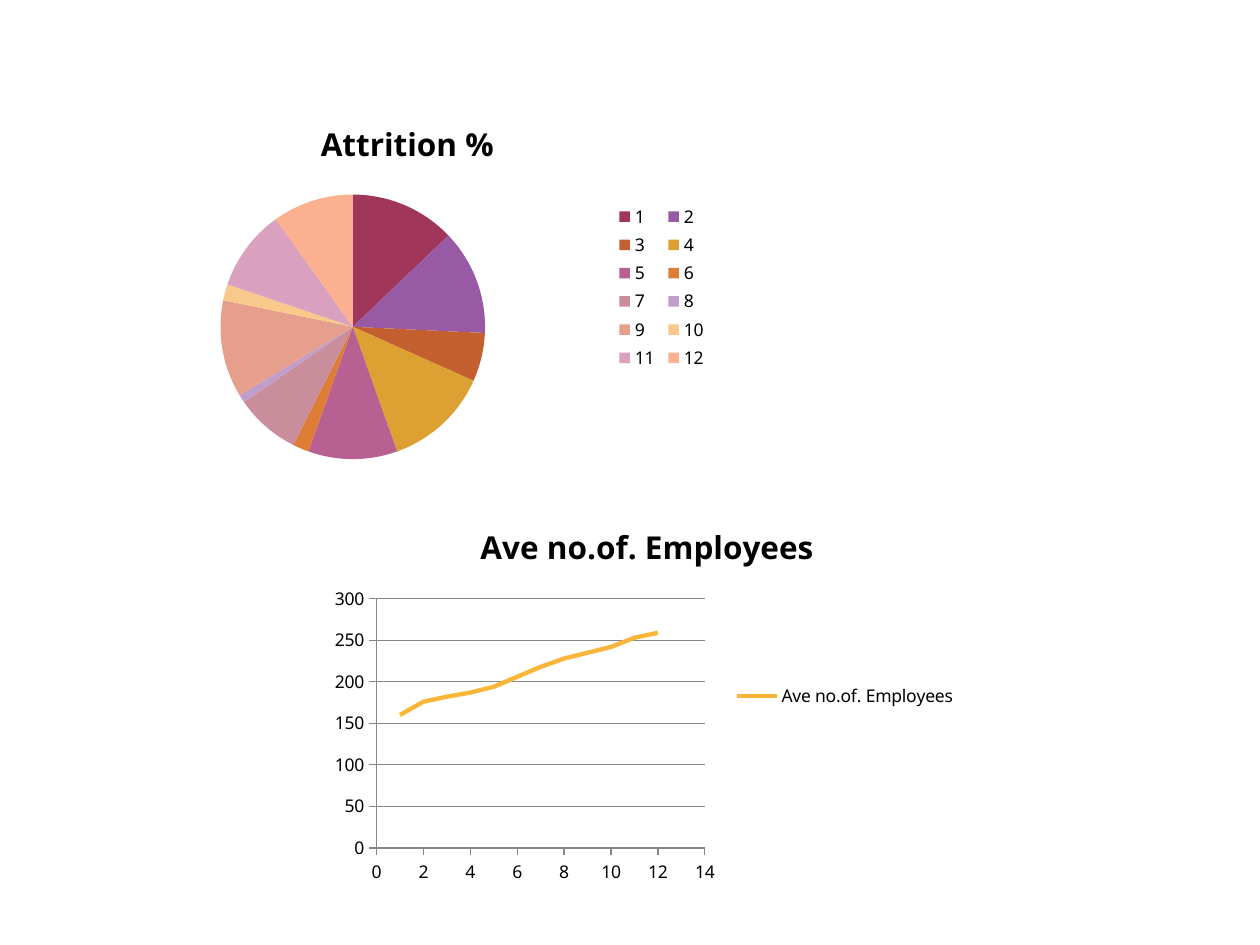
from dataclasses import dataclass

from pptx import Presentation
from pptx.chart.data import CategoryChartData as CatData, XyChartData as XyData
from pptx.dml.color import RGBColor as Rgb
from pptx.enum.chart import XL_CHART_TYPE as Kind, XL_LEGEND_POSITION as Side
from pptx.enum.chart import XL_TICK_MARK as Tick
from pptx.oxml import parse_xml
from pptx.oxml.ns import nsdecls
from pptx.util import Pt

FONT = "Noto Sans"
HUES = {"text": "000000", "axis": "878787", "line": "F9B639"}
SLICES = {
    "1": "A1365B", "2": "985AA5", "3": "C45F2F", "4": "DCA132",
    "5": "B76091", "6": "DD7D36", "7": "CA8D9B", "8": "C19DCC",
    "9": "E59F8C", "10": "F9C98B", "11": "D9A0BF", "12": "FBB090",
}
RATES = [13, 13, 6, 13, 11, 2, 8, 1, 12, 2, 10, 10]
STAFF = [160, 176, 182, 187, 194, 206, 218, 228, 235, 242, 253, 259]


@dataclass
class Box:
    x: float
    y: float
    w: float
    h: float


@dataclass
class Panel:
    title: str
    kind: Kind
    box: Box
    plot: Box  # shares of the chart's size


PIE = Panel(" Attrition %", Kind.PIE, Box(50.4, 56.16, 360, 216),
            Box(0.21, 0.25, 0.42, 0.71))
TREND = Panel("Ave no.of. Employees", Kind.XY_SCATTER_LINES_NO_MARKERS,
              Box(185.76, 286.56, 367.92, 222.48),
              Box(0.08, 0.25, 0.51, 0.64))


def place(part, box: Box, inner: bool = False) -> None:
    """Give a plot area or legend a fixed place inside its chart."""
    for old in part.findall("{*}layout"):
        part.remove(old)
    goal = '<c:layoutTarget val="inner"/>' if inner else ""
    node = parse_xml(
        f'<c:layout {nsdecls("c")}><c:manualLayout>{goal}'
        '<c:xMode val="edge"/><c:yMode val="edge"/>'
        f'<c:x val="{box.x}"/><c:y val="{box.y}"/>'
        f'<c:w val="{box.w}"/><c:h val="{box.h}"/>'
        '</c:manualLayout></c:layout>')
    part.insert(0 if inner else 1, node)


def draw(slide, panel: Panel, data):
    """Add a chart with its title, legend and plot place."""
    box = panel.box
    chart = slide.shapes.add_chart(panel.kind, Pt(box.x), Pt(box.y),
                                   Pt(box.w), Pt(box.h), data).chart
    chart.font.name = FONT
    chart.font.size = Pt(10)
    chart.font.color.rgb = Rgb.from_string(HUES["text"])
    chart.has_title = True
    run = chart.chart_title.text_frame.paragraphs[0].add_run()
    run.text = panel.title
    run.font.name = FONT
    run.font.size = Pt(18)
    run.font.bold = True
    run.font.color.rgb = Rgb.from_string(HUES["text"])
    chart.chart_title.include_in_layout = False
    chart.has_legend = True
    chart.legend.position = Side.RIGHT
    chart.legend.include_in_layout = False
    place(chart.plots[0]._element.getparent(), panel.plot, inner=True)
    return chart


def style(axis, top: int, step: int, grid: bool) -> None:
    axis.minimum_scale = 0
    axis.maximum_scale = top
    axis.major_unit = step
    axis.major_tick_mark = Tick.OUTSIDE
    axis.minor_tick_mark = Tick.NONE
    axis.has_major_gridlines = grid
    lines = [axis.format.line]
    if grid:
        lines.append(axis.major_gridlines.format.line)
    for line in lines:
        line.width = Pt(0.75)
        line.color.rgb = Rgb.from_string(HUES["axis"])


def main() -> None:
    deck = Presentation()
    deck.slide_width, deck.slide_height = Pt(720), Pt(540)
    slide = deck.slides.add_slide(deck.slide_layouts[6])

    # Attrition pie, with a legend in two columns
    data = CatData()
    data.categories = list(SLICES)
    data.add_series(PIE.title, RATES)
    chart = draw(slide, PIE, data)
    place(chart.legend._element, Box(0.83, 0.27, 0.16, 0.46))
    plot = chart.plots[0]
    plot.vary_by_categories = True
    for i, hue in enumerate(SLICES.values()):
        fill = plot.series[0].points[i].format.fill
        fill.solid()
        fill.fore_color.rgb = Rgb.from_string(hue)

    # Headcount trend
    data = XyData()
    row = data.add_series(TREND.title)
    for x, y in enumerate(STAFF, 1):
        row.add_data_point(x, y)
    chart = draw(slide, TREND, data)
    chart.plots[0].vary_by_categories = False
    style(chart.category_axis, 14, 2, False)
    style(chart.value_axis, 300, 50, True)
    curve = chart.plots[0].series[0]
    curve.smooth = False
    curve.format.line.width = Pt(2.5)
    curve.format.line.color.rgb = Rgb.from_string(HUES["line"])

    deck.save("out.pptx")


if __name__ == "__main__":
    main()
